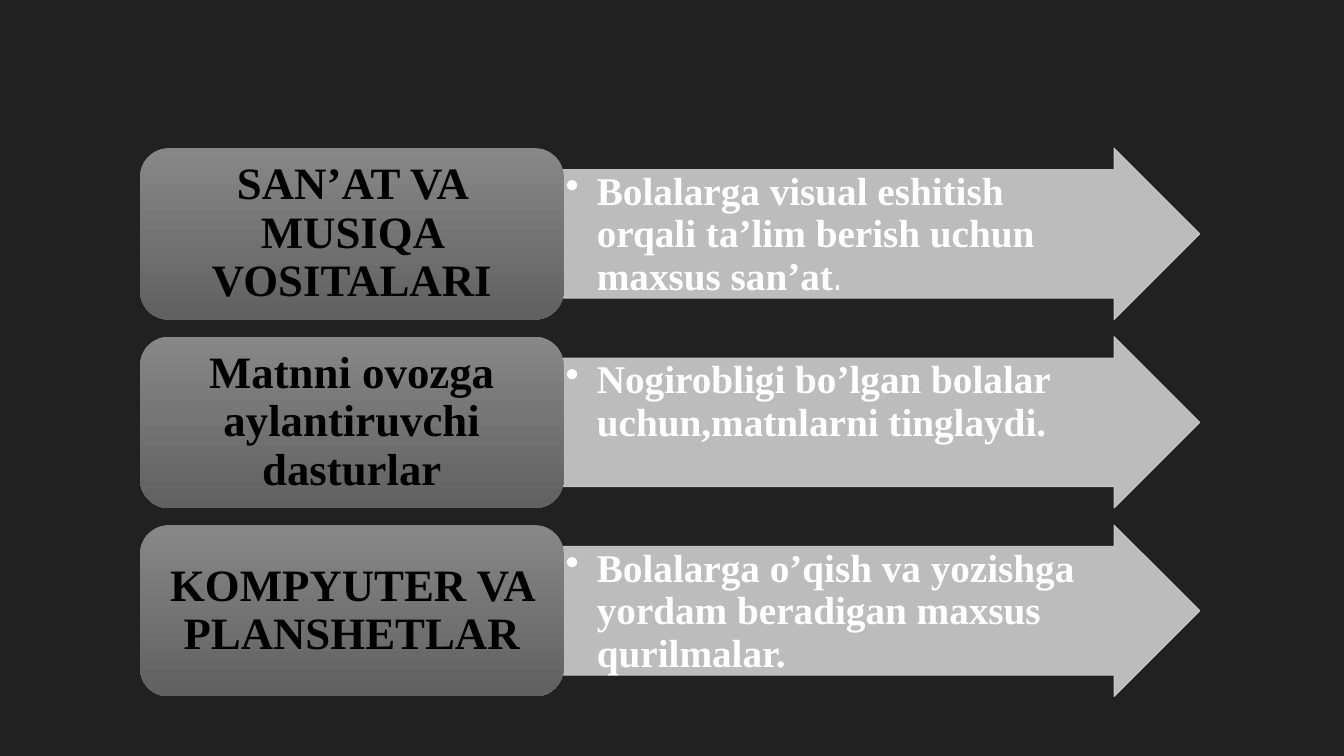
import pptx
import pptx.util
import pptx.dml.color
import pptx.enum.shapes
import pptx.enum.text
import pptx.oxml
import pptx.oxml.ns
from lxml import etree

Inches, Pt = pptx.util.Inches, pptx.util.Pt
SHAPE = pptx.enum.shapes.MSO_SHAPE
ALIGN, ANCHOR = pptx.enum.text.PP_ALIGN, pptx.enum.text.MSO_ANCHOR
qn = pptx.oxml.ns.qn

# Content: label, then the runs of its arrow as (text, font, bold)
SERIF, SANS = "Times New Roman", "TeX Gyre Adventor"
ROWS = [
    ("SAN’AT VA MUSIQA VOSITALARI",
     [("Bolalarga visual eshitish orqali ta’lim berish uchun maxsus san’at", SERIF, True),
      (".", SANS, False)]),
    ("Matnni ovozga aylantiruvchi dasturlar",
     [("Nogirobligi bo’lgan bolalar uchun,matnlarni tinglaydi.", SERIF, True)]),
    ("KOMPYUTER VA PLANSHETLAR",
     [("Bolalarga o’qish va yozishga yordam beradigan maxsus qurilmalar.", SERIF, True)]),
]
COLORS = {"background": "212121", "arrow": "CDCDCD", "label_top": "878787",
          "label_bottom": "616161", "label_text": "000000", "arrow_text": "FFFFFF"}

# Layout in inches
LEFT, TOP, ROW_H, ROW_STEP = 1.39, 1.47, 1.7, 1.87
LABEL_W, ARROW_W = 4.2, 6.31


def rgb(name):
    return pptx.dml.color.RGBColor.from_string(COLORS[name])


def set_alpha(fill_parent, percent):
    color = fill_parent.find(qn("a:solidFill"))[0]
    etree.SubElement(color, qn("a:alpha")).set("val", str(percent * 1000))


def write(shape, runs, size, color, align=ALIGN.LEFT, anchor=ANCHOR.TOP,
          insets=(0.02, 0.02, 0.02, 0.02), bullet_indent=None):
    tf = shape.text_frame
    tf.word_wrap = True
    tf.vertical_anchor = anchor
    tf.margin_left, tf.margin_top, tf.margin_right, tf.margin_bottom = map(Inches, insets)
    p = tf.paragraphs[0]
    if bullet_indent:
        pPr = p._p.get_or_add_pPr()
        pPr.set("marL", str(Inches(bullet_indent)))
        pPr.set("indent", str(-Inches(bullet_indent)))
        etree.SubElement(pPr, qn("a:buChar")).set("char", "•")
    p.alignment = align
    p.line_spacing = 0.9
    for text, font, bold in runs:
        r = p.add_run()
        r.text = text
        r.font.name, r.font.size, r.font.bold = font, Pt(size), bold
        r.font.color.rgb = rgb(color)


def add_shape(s, kind, left, top, width):
    sp = s.shapes.add_shape(kind, Inches(left), Inches(top), Inches(width), Inches(ROW_H))
    sp.shadow.inherit = False
    return sp


def add_arrow(s, top, runs):
    sp = add_shape(s, SHAPE.RIGHT_ARROW, LEFT + LABEL_W, top, ARROW_W)
    sp.adjustments[0], sp.adjustments[1] = 0.75, 0.5
    sp.fill.solid()
    sp.fill.fore_color.rgb = rgb("arrow")
    sp.line.color.rgb = rgb("arrow")
    sp.line.width = Pt(0.75)
    spPr = sp._element.spPr
    set_alpha(spPr, 90)
    set_alpha(spPr.find(qn("a:ln")), 90)
    # The wide right inset keeps text out of the arrowhead
    write(sp, runs, 28, "arrow_text", insets=(0.02, 0.02, 0.45, 0.02), bullet_indent=0.31)


def add_label(s, top, text):
    sp = add_shape(s, SHAPE.ROUNDED_RECTANGLE, LEFT, top, LABEL_W)
    sp.line.fill.background()
    sp.fill.gradient()
    sp.fill.gradient_angle = 270
    for stop, position, name in zip(sp.fill.gradient_stops, (0, 1), ("label_top", "label_bottom")):
        stop.position = position
        stop.color.rgb = rgb(name)
    write(sp, [(text, SERIF, True)], 32, "label_text", align=ALIGN.CENTER,
          anchor=ANCHOR.MIDDLE, insets=(0.13, 0.07, 0.13, 0.07))


def main():
    prs = pptx.Presentation()
    prs.slide_width, prs.slide_height = Inches(13.33), Inches(7.5)
    s = prs.slides.add_slide(prs.slide_layouts[6])
    s.background.fill.solid()
    s.background.fill.fore_color.rgb = rgb("background")

    # One arrow and its label per row
    for i, (label, runs) in enumerate(ROWS):
        top = TOP + i * ROW_STEP
        add_arrow(s, top, runs)
        add_label(s, top, label)
    prs.save("out.pptx")


if __name__ == "__main__":
    main()
